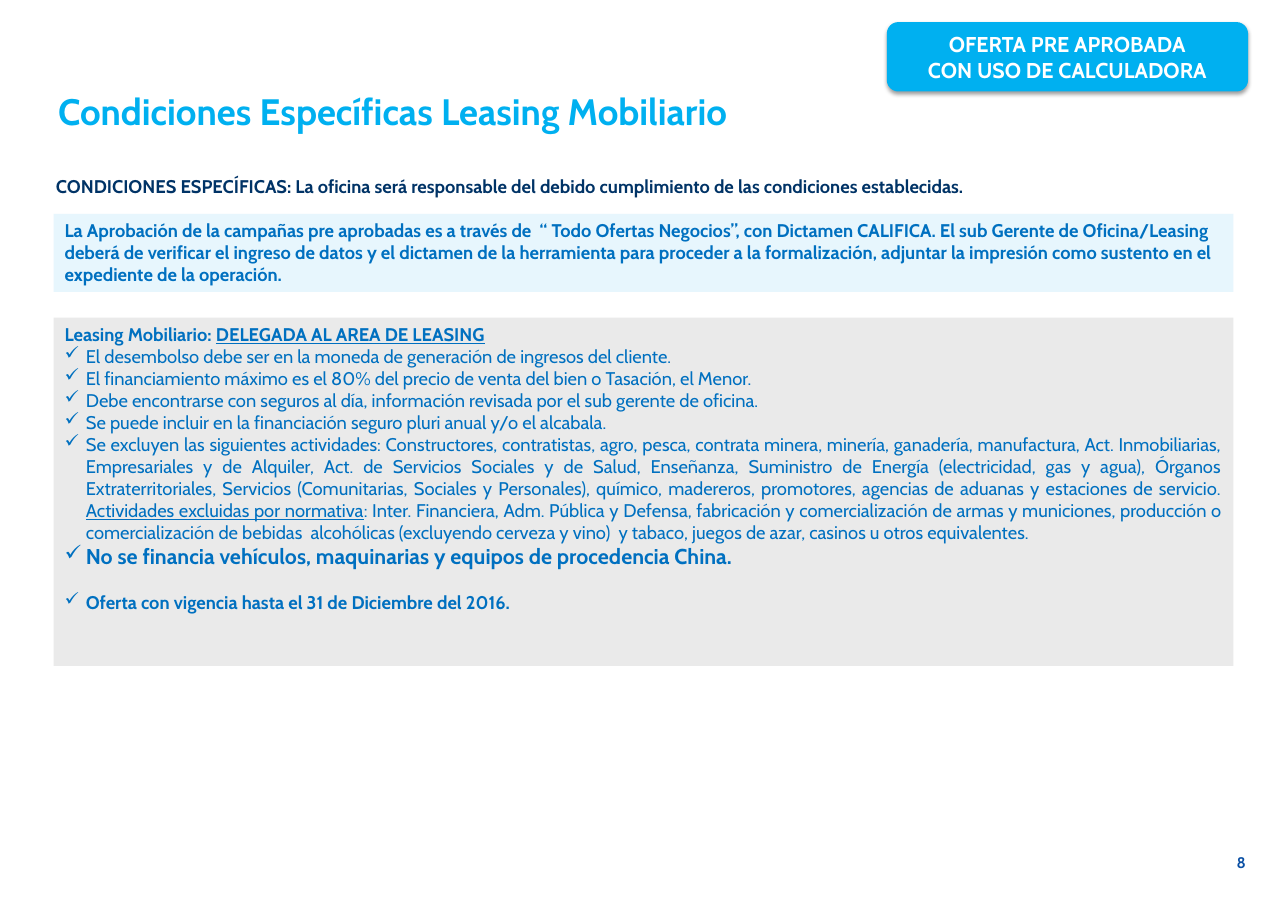
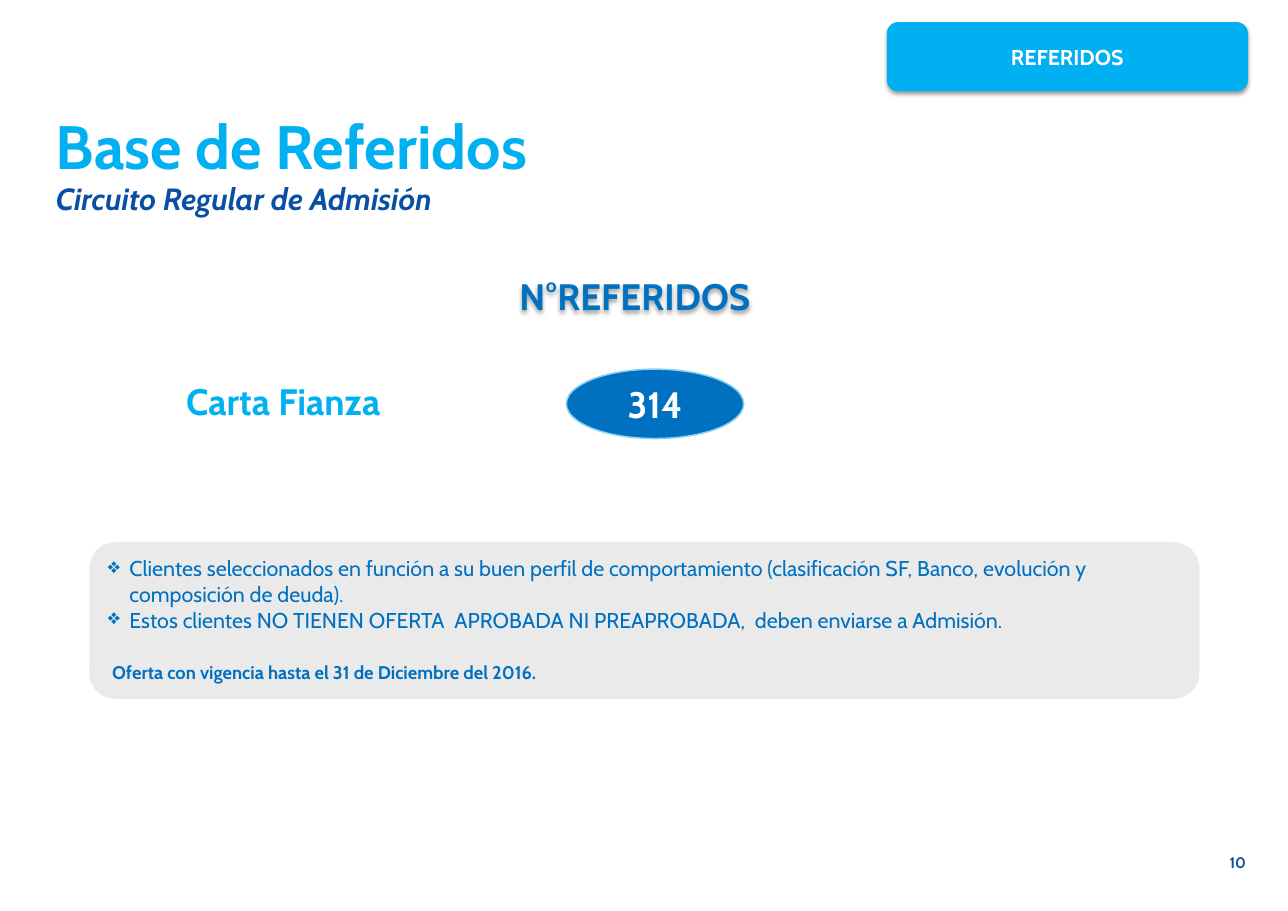
"""Build the two slides on leasing conditions and referred clients."""
import dataclasses

import lxml.etree
import pptx
import pptx.dml.color
import pptx.enum.shapes
import pptx.enum.text
import pptx.oxml.ns
import pptx.util

Cm = pptx.util.Cm
Pt = pptx.util.Pt
qn = pptx.oxml.ns.qn
Preset = pptx.enum.shapes.MSO_SHAPE
Align = pptx.enum.text.PP_ALIGN
Anchor = pptx.enum.text.MSO_ANCHOR


@dataclasses.dataclass(frozen=True)
class Theme:
    font: str = "Cabin"
    sky: str = "00B0F0"
    blue: str = "0070C0"
    royal: str = "094FA4"
    navy: str = "003366"
    white: str = "FFFFFF"
    pale: str = "E7F6FD"
    grey: str = "EAEAEA"
    rim: str = "89D1F3"
    hero: int = 40
    title: int = 24
    subtitle: int = 20
    large: int = 14
    body: int = 12
    page: int = 10


theme = Theme()
rgb = pptx.dml.color.RGBColor.from_string


def add_block(slide, at, preset=None, fill=None, rim=None, shadow=False, anchor=Anchor.TOP):
    box = [Cm(length) for length in at]
    if preset is None:
        block = slide.shapes.add_textbox(*box)
    else:
        block = slide.shapes.add_shape(preset, *box)
        if fill:
            block.fill.solid()
            block.fill.fore_color.rgb = rgb(fill)
        else:
            block.fill.background()
        if rim:
            block.line.color.rgb = rgb(rim)
            block.line.width = Pt(1)
        else:
            block.line.fill.background()
        block.shadow.inherit = False
    if shadow:
        effects = block._element.spPr.find(qn("a:effectLst"))
        outer = lxml.etree.SubElement(
            effects, qn("a:outerShdw"), blurRad=str(Pt(3.1)), dist=str(Pt(1.6)),
            dir="5400000", rotWithShape="0")
        tint = lxml.etree.SubElement(outer, qn("a:srgbClr"), val="000000")
        lxml.etree.SubElement(tint, qn("a:alpha"), val="38000")
    block.text_frame.word_wrap = True
    block.text_frame.vertical_anchor = anchor
    return block.text_frame


def write(frame, text, size, color, bold=True, italic=False, align=Align.LEFT,
          bullet=None, hang=0, margin=0, before=0, spacing=None):
    paragraph = frame.paragraphs[0]
    if paragraph.runs:
        paragraph = frame.add_paragraph()
    paragraph.alignment = align
    paragraph.space_before = Pt(before)
    paragraph.line_spacing = spacing
    properties = paragraph._p.get_or_add_pPr()
    properties.set("marL", str(Cm(margin + hang)))
    properties.set("indent", str(-Cm(hang)))
    if bullet:
        lxml.etree.SubElement(properties, qn("a:buChar"), char=bullet)
    font = paragraph.font
    font.name, font.size, font.bold, font.italic = theme.font, Pt(size), bold, italic
    font.color.rgb = rgb(color)
    for piece, underlined in [(text, False)] if isinstance(text, str) else text:
        run = paragraph.add_run()
        run.text = piece
        if underlined:
            run.font.underline = True


deck = pptx.Presentation()
deck.slide_width, deck.slide_height = Cm(29.7), Cm(21)

slides = []
for badge_lines, page in [
    (["OFERTA PRE APROBADA", "CON USO DE CALCULADORA"], "8"),
    (["REFERIDOS"], "10"),
]:
    slide = deck.slides.add_slide(deck.slide_layouts[6])
    slides.append(slide)
    badge = add_block(slide, (20.45, 0.51, 8.33, 1.6), Preset.ROUNDED_RECTANGLE,
                      theme.sky, shadow=True, anchor=Anchor.MIDDLE)
    for line in badge_lines:
        write(badge, line, theme.large, theme.white, align=Align.CENTER)
    page_number = add_block(slide, (19.33, 19.66, 9.4, 0.61))
    page_number.margin_left = page_number.margin_right = 0
    page_number.margin_top = page_number.margin_bottom = 0
    write(page_number, page, theme.page, theme.royal, align=Align.RIGHT)

leasing, referrals = slides

title = add_block(leasing, (1.09, 2.11, 28.6, 1.19))
write(title, "Condiciones Específicas Leasing Mobiliario", theme.title, theme.sky,
      before=2, spacing=0.8)

intro = add_block(leasing, (1.04, 3.91, 27.99, 1.27))
write(intro, "CONDICIONES ESPECÍFICAS: La oficina será responsable del debido cumplimiento "
      "de las condiciones establecidas.", theme.body, theme.navy)

approval = add_block(leasing, (1.24, 4.93, 27.2, 1.8), Preset.RECTANGLE, theme.pale)
write(approval, "La Aprobación de la campañas pre aprobadas es a través de  “ Todo Ofertas "
      "Negocios”, con Dictamen CALIFICA. El sub Gerente de Oficina/Leasing deberá de verificar "
      "el ingreso de datos y el dictamen de la herramienta para proceder a la formalización, "
      "adjuntar la impresión como sustento en el expediente de la operación.",
      theme.body, theme.blue)

conditions = add_block(leasing, (1.24, 7.32, 27.2, 8.03), Preset.RECTANGLE, theme.grey)
write(conditions, [("Leasing Mobiliario: ", False), ("DELEGADA AL AREA DE LEASING", True)],
      theme.body, theme.blue, align=Align.JUSTIFY)
exclusions = [
    ("Se excluyen las siguientes actividades: Constructores, contratistas, agro, pesca, "
     "contrata minera, minería, ganadería, manufactura, Act. Inmobiliarias, Empresariales y de "
     "Alquiler, Act. de Servicios Sociales y de Salud, Enseñanza, Suministro de Energía "
     "(electricidad, gas y agua), Órganos Extraterritoriales, Servicios (Comunitarias, Sociales "
     "y Personales), químico, madereros, promotores, agencias de aduanas y estaciones de "
     "servicio. ", False),
    ("Actividades excluidas por normativa", True),
    (": Inter. Financiera, Adm. Pública y Defensa, fabricación y comercialización de armas y "
     "municiones, producción o comercialización de bebidas  alcohólicas (excluyendo cerveza y "
     "vino)  y tabaco, juegos de azar, casinos u otros equivalentes.", False),
]
validity = "Oferta con vigencia hasta el 31 de Diciembre del 2016."
for text, size, bold, before in [
    ("El desembolso debe ser en la moneda de generación de ingresos del cliente.",
     theme.body, False, 0),
    ("El financiamiento máximo es el 80% del precio de venta del bien o Tasación, el Menor.",
     theme.body, False, 0),
    ("Debe encontrarse con seguros al día, información revisada por el sub gerente de oficina.",
     theme.body, False, 0),
    ("Se puede incluir en la financiación seguro pluri anual y/o el alcabala.",
     theme.body, False, 0),
    (exclusions, theme.body, False, 0),
    ("No se financia vehículos, maquinarias y equipos de procedencia China.",
     theme.large, True, 0),
    (validity, theme.body, True, 14.5),
]:
    write(conditions, text, size, theme.blue, bold, align=Align.JUSTIFY,
          bullet="✓", hang=0.49, before=before)

title = add_block(referrals, (1.04, 2.69, 27.25, 2.01))
write(title, "Base de Referidos", theme.hero, theme.sky, before=2, spacing=0.8)
write(title, "Circuito Regular de Admisión", theme.subtitle, theme.royal, italic=True,
      before=4, spacing=0.8)

count_heading = add_block(referrals, (11.66, 6.1, 7.62, 1.42), Preset.ROUNDED_RECTANGLE,
                          shadow=True, anchor=Anchor.MIDDLE)
write(count_heading, "N°REFERIDOS", theme.title, theme.blue)

product = add_block(referrals, (4.04, 8.61, 5.23, 1.27))
write(product, "Carta Fianza", theme.title, theme.sky)

count = add_block(referrals, (13.06, 8.51, 4.09, 1.6), Preset.OVAL, theme.blue,
                  rim=theme.rim, anchor=Anchor.MIDDLE)
write(count, "314", theme.title, theme.white, align=Align.CENTER)

criteria = add_block(referrals, (2.06, 12.5, 25.6, 3.61), Preset.ROUNDED_RECTANGLE, theme.grey)
for criterion in [
    "Clientes seleccionados en función a su buen perfil de comportamiento (clasificación SF, "
    "Banco, evolución y composición de deuda).",
    "Estos clientes NO TIENEN OFERTA  APROBADA NI PREAPROBADA,  deben enviarse a Admisión.",
]:
    write(criteria, criterion, theme.large, theme.blue, bold=False, bullet="❖", hang=0.5)
write(criteria, validity, theme.body, theme.blue, margin=0.1, before=19)

deck.save("out.pptx")
